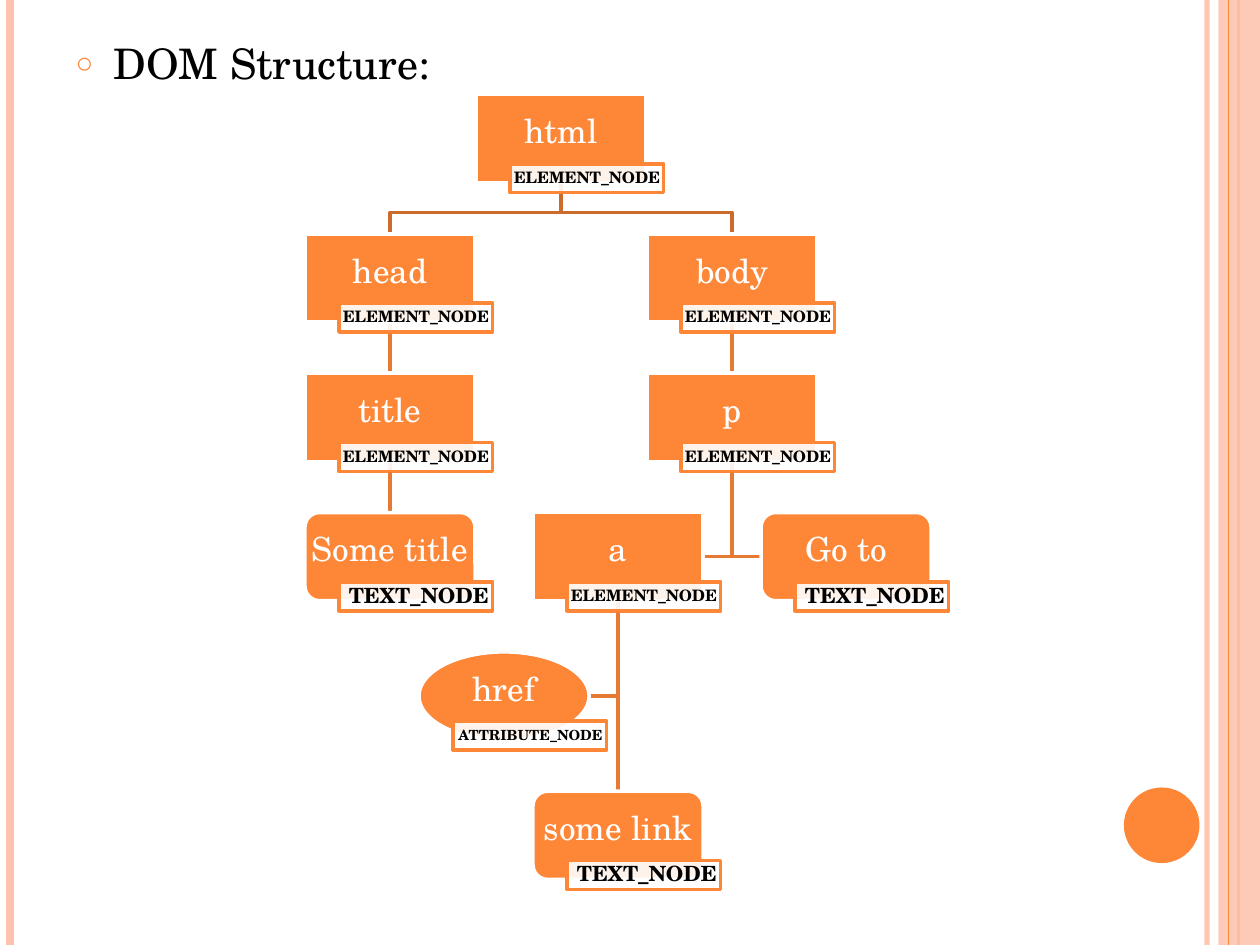
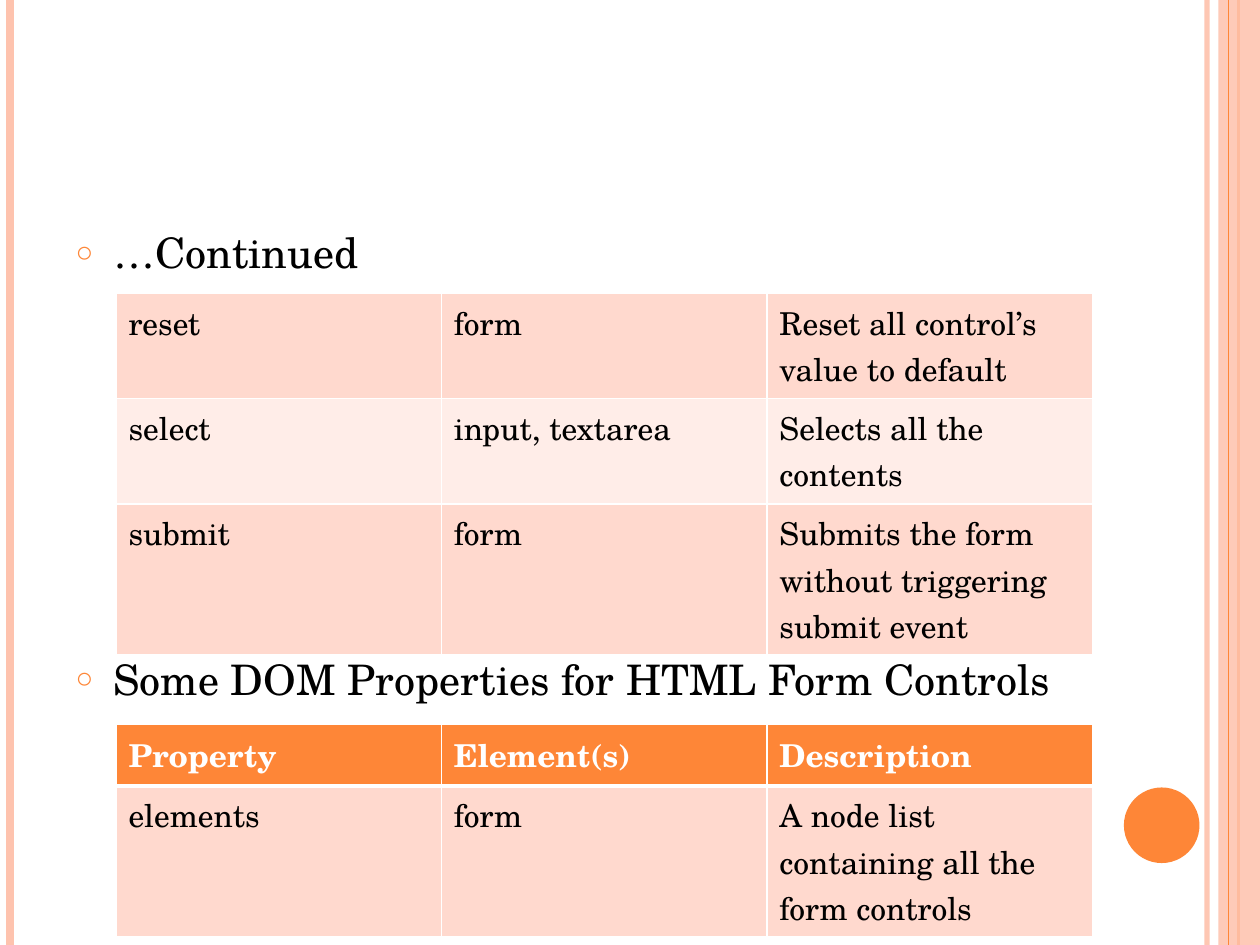
from collections import namedtuple
from dataclasses import dataclass

from lxml import etree
from pptx import Presentation
from pptx.dml.color import RGBColor
from pptx.enum.shapes import MSO_CONNECTOR, MSO_SHAPE
from pptx.enum.text import MSO_ANCHOR, MSO_AUTO_SIZE, PP_ALIGN
from pptx.oxml.ns import qn
from pptx.util import Inches, Pt

STRAIGHT = MSO_CONNECTOR.STRAIGHT
RECT, ROUND, OVAL = MSO_SHAPE.RECTANGLE, MSO_SHAPE.ROUNDED_RECTANGLE, MSO_SHAPE.OVAL
MIDDLE, TOP = MSO_ANCHOR.MIDDLE, MSO_ANCHOR.TOP
CENTER, RIGHT = PP_ALIGN.CENTER, PP_ALIGN.RIGHT
NO_FIT = MSO_AUTO_SIZE.NONE


@dataclass(frozen=True)
class Theme:
    """Colours, font and type sizes (points) of the deck."""
    accent: str = "FE8637"
    rail: str = "FEC3AE"
    branch: str = "E77A32"
    trunk: str = "CB6B2C"
    band_dark: str = "FFD9CE"
    band_light: str = "FFEDE8"
    white: str = "FFFFFF"
    black: str = "000000"
    font: str = "TeX Gyre Schola"
    bullet_size: int = 24
    node_size: int = 19
    cell_size: int = 18


THEME = Theme()
WIDTH, HEIGHT = 10, 7.5

Box = namedtuple("Box", "left top width height")
Node = namedtuple("Node", "label kind column level outline parent")

# Columns count sibling steps from the leftmost node.
NODES = [
    Node("html", "ELEMENT_NODE", 0.75, 0, RECT, None),
    Node("head", "ELEMENT_NODE", 0, 1, RECT, "html"),
    Node("title", "ELEMENT_NODE", 0, 2, RECT, "head"),
    Node("Some title", "TEXT_NODE", 0, 3, ROUND, "title"),
    Node("body", "ELEMENT_NODE", 1.5, 1, RECT, "html"),
    Node("p", "ELEMENT_NODE", 1.5, 2, RECT, "body"),
    Node("a", "ELEMENT_NODE", 1, 3, RECT, "p"),
    Node("some link", "TEXT_NODE", 1, 5, ROUND, "a"),
    Node("href", "ATTRIBUTE_NODE", 0.5, 4, OVAL, "a"),
    Node("Go to", "TEXT_NODE", 2, 3, ROUND, "p"),
]
KIND_SIZES = {"ELEMENT_NODE": 9, "TEXT_NODE": 12, "ATTRIBUTE_NODE": 8}
NODE_W, NODE_H, COLUMN_STEP, LEVELS = 1.35, 0.7, 1.81, 6
FORK_RISE = 0.17

METHODS = [
    ["reset", "form", "Reset all control\u2019s value to default"],
    ["select", "input, textarea", "Selects all the contents"],
    ["submit", "form", "Submits the form without triggering submit event"],
]
PROPERTIES = [
    ["Property", "Element(s)", "Description"],
    ["elements", "form", "A node list containing all the form controls"],
]


def rgb(code):
    """Turn a hex code into a colour."""
    return RGBColor.from_string(code)


def inches(*lengths):
    """Convert several lengths at once."""
    return [Inches(length) for length in lengths]


def set_alpha(shape, percent):
    """Make the first solid colour of a shape partly transparent."""
    colour = next(shape.element.iter(qn("a:srgbClr")))
    etree.SubElement(colour, qn("a:alpha"), val=str(percent * 1000))


def style_text(paragraph, size, colour, bold=False):
    """Set the deck font on a paragraph."""
    font = paragraph.font
    font.name, font.size, font.bold = THEME.font, Pt(size), bold
    font.color.rgb = rgb(colour)


def add_line(slide, start, end, colour, weight):
    """Draw a straight line without shadow."""
    line = slide.shapes.add_connector(STRAIGHT, *inches(*start, *end))
    line.line.color.rgb, line.line.width = rgb(colour), Pt(weight)
    etree.SubElement(line.element.spPr, qn("a:effectLst"))
    return line


def add_panel(slide, outline, box, fill, border=None):
    """Draw a flat preset shape, bordered by 2 points if a colour is given."""
    panel = slide.shapes.add_shape(outline, *inches(*box))
    panel.shadow.inherit = False
    panel.fill.solid()
    panel.fill.fore_color.rgb = rgb(fill)
    if border:
        panel.line.color.rgb, panel.line.width = rgb(border), Pt(2)
    else:
        panel.line.fill.background()
    return panel


def write_label(panel, text, size, colour, align, margins, bold=False):
    """Write one unwrapped line into a panel; margins run left to bottom."""
    frame = panel.text_frame
    frame.word_wrap, frame.vertical_anchor = False, MIDDLE
    (frame.margin_left, frame.margin_top,
     frame.margin_right, frame.margin_bottom) = inches(*margins)
    line = frame.paragraphs[0]
    line.text, line.alignment, line.line_spacing = text, align, 0.9
    style_text(line, size, colour, bold)


def decorate_master(prs, slide):
    """Draw the side rails and the dot, then move them to the master."""
    def rail(x, colour, weight):
        return add_line(slide, (x, 0), (x, HEIGHT), colour, weight)

    inner = rail(9.58, THEME.rail, 3)
    set_alpha(inner, 93)
    outer = [rail(0.08, THEME.rail, 4.5), rail(9.83, THEME.accent, 1.5)]
    band = add_panel(slide, RECT, Box(9.67, 0, 0.33, HEIGHT), THEME.rail)
    set_alpha(band, 87)
    edge = rail(9.75, THEME.accent, 0.75)
    dot = add_panel(slide, OVAL, Box(8.92, 6.25, 0.6, 0.6), THEME.accent)
    for number, part in enumerate([inner, *outer, band, edge, dot], 100):
        part.element.xpath("./*/p:cNvPr")[0].set("id", str(number))
        prs.slide_master.shapes.element.append(part.element)


def new_slide(prs):
    """Add a slide that has a body but no title."""
    slide = prs.slides.add_slide(prs.slide_layouts[1])
    title = slide.shapes.title.element
    title.getparent().remove(title)
    return slide


def fill_body(slide, box, bullets):
    """Write (text, space before) bullets into the body placeholder."""
    body = slide.placeholders[1]
    body.left, body.top, body.width, body.height = inches(*box)
    frame = body.text_frame
    frame.auto_size, frame.vertical_anchor = NO_FIT, TOP
    for index, (text, before) in enumerate(bullets):
        item = frame.add_paragraph() if index else frame.paragraphs[0]
        item.text, item.space_before = text, Pt(before)
        style_text(item, THEME.bullet_size, THEME.black)
        props = item._p.get_or_add_pPr()
        props.set("marL", str(Inches(0.3)))
        props.set("indent", str(-Inches(0.3)))
        tint = etree.Element(qn("a:buClr"))
        etree.SubElement(tint, qn("a:srgbClr"), val=THEME.accent)
        marks = [tint, etree.Element(qn("a:buSzPct"), val="70000"),
                 etree.Element(qn("a:buChar"), char="\u25cb")]
        for offset, mark in enumerate(marks):
            props.insert(props.index(props.find(qn("a:spcBef"))) + 1 + offset, mark)


def draw_link(slide, parent, child, style):
    """Join two node boxes: straight down, forked, or into the child's side."""
    x, y = parent.left + NODE_W / 2, parent.top + NODE_H
    child_x = child.left + NODE_W / 2
    if abs(child_x - x) < 0.01:
        add_line(slide, (x, y), (x, child.top), THEME.branch, 2)
        return
    if style == "fork":
        fork_y, colour = child.top - FORK_RISE, THEME.trunk
        bends = [(x, fork_y), (child_x, fork_y), (child_x, child.top)]
    else:
        side_y, colour = child.top + NODE_H / 2, THEME.branch
        side_x = child.left if child_x > x else child.left + NODE_W
        bends = [(x, side_y), (side_x, side_y)]
    route = slide.shapes.build_freeform(*inches(x, y))
    route.add_line_segments([inches(*bend) for bend in bends], close=False)
    link = route.convert_to_shape()
    link.shadow.inherit = False
    link.fill.background()
    link.line.color.rgb, link.line.width = rgb(colour), Pt(2)


def draw_node(slide, node, box):
    """Draw a node and the tag with its type at the lower right."""
    body = add_panel(slide, node.outline, box, THEME.accent, THEME.white)
    write_label(body, node.label, THEME.node_size, THEME.white, CENTER,
                (0.01, 0.01, 0.01, 0.1))
    tag_box = Box(box.left + 0.27, box.top + 0.55, 1.22, 0.23)
    tag = add_panel(slide, RECT, tag_box, THEME.white, THEME.accent)
    set_alpha(tag, 90)
    write_label(tag, node.kind, KIND_SIZES[node.kind], THEME.black, RIGHT,
                (0.03, 0.01, 0.03, 0.01), bold=True)


def draw_tree(slide, box):
    """Lay the DOM nodes out in the box, links behind nodes."""
    level_step = (box.height - NODE_H) / (LEVELS - 1)
    places = {
        node.label: Box(box.left + node.column * COLUMN_STEP,
                        box.top + node.level * level_step, NODE_W, NODE_H)
        for node in NODES
    }
    for node in NODES:
        if node.parent:
            style = "fork" if node.parent == "html" else "side"
            draw_link(slide, places[node.parent], places[node.label], style)
    for node in NODES:
        draw_node(slide, node, places[node.label])


def border_cell(cell, bottom):
    """Give a cell white borders, the lower one of its own weight."""
    props = cell._tc.get_or_add_tcPr()
    weights = {"a:lnL": 1, "a:lnR": 1, "a:lnT": 1, "a:lnB": bottom}
    for index, (side, weight) in enumerate(weights.items()):
        edge = etree.Element(qn(side), w=str(Pt(weight)))
        fill = etree.SubElement(edge, qn("a:solidFill"))
        etree.SubElement(fill, qn("a:srgbClr"), val=THEME.white)
        props.insert(index, edge)


def draw_table(slide, box, rows, heights, header=False):
    """Fill a banded table, with an accent header row if asked."""
    table = slide.shapes.add_table(len(rows), len(rows[0]), *inches(*box)).table
    table.first_row = header
    for column in table.columns:
        column.width = Inches(box.width / len(rows[0]))
    for r, (texts, height) in enumerate(zip(rows, heights)):
        table.rows[r].height = Inches(height)
        heading = header and r == 0
        band = THEME.band_light if (r - header) % 2 else THEME.band_dark
        for c, text in enumerate(texts):
            cell = table.cell(r, c)
            cell.text = text
            cell.fill.solid()
            cell.fill.fore_color.rgb = rgb(THEME.accent if heading else band)
            style_text(cell.text_frame.paragraphs[0], THEME.cell_size,
                       THEME.white if heading else THEME.black, heading)
            border_cell(cell, 3 if heading else 1)


def structure_slide(prs):
    """Build the slide with the DOM tree."""
    slide = new_slide(prs)
    fill_body(slide, Box(0.5, 0.25, 8.17, 6.83), [("DOM Structure:", 0)])
    draw_tree(slide, Box(2.42, 0.75, 4.97, 6.23))
    return slide


def controls_slide(prs):
    """Build the slide with the form control tables."""
    slide = new_slide(prs)
    fill_body(slide, Box(0.5, 1.75, 8.17, 5.33), [
        ("\u2026Continued", 0),
        ("Some DOM Properties for HTML Form Controls", 215),
    ])
    draw_table(slide, Box(0.92, 2.33, 7.75, 2.4), METHODS, [0.7, 0.7, 1])
    draw_table(slide, Box(0.92, 5.75, 7.75, 1.41), PROPERTIES, [0.41, 1], header=True)


def main():
    """Build and save the deck."""
    prs = Presentation()
    prs.slide_width, prs.slide_height = inches(WIDTH, HEIGHT)
    first = structure_slide(prs)
    decorate_master(prs, first)
    controls_slide(prs)
    prs.save("out.pptx")


main()
